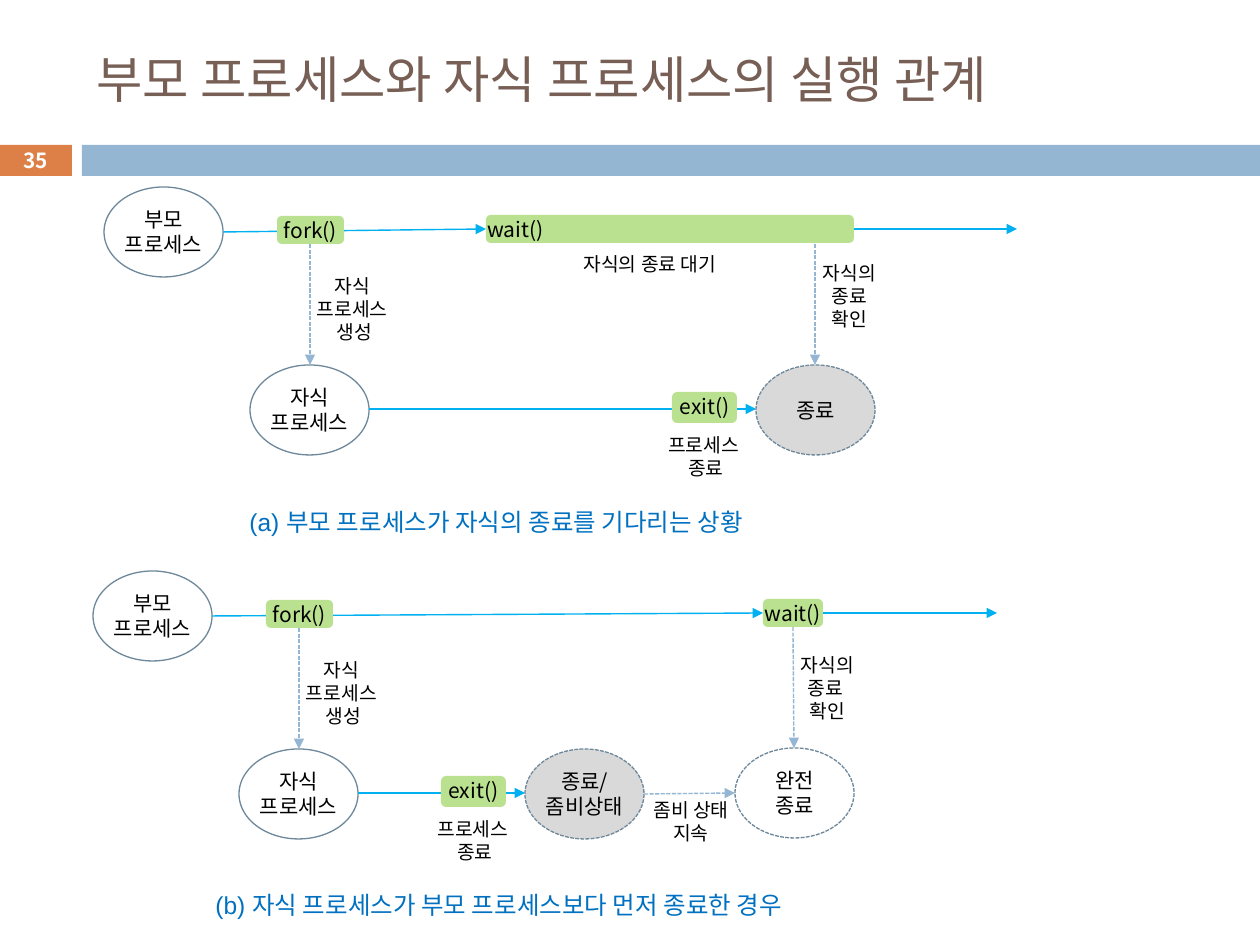
from lxml import etree
from pptx import Presentation
from pptx.dml.color import RGBColor
from pptx.enum.dml import MSO_LINE
from pptx.enum.shapes import MSO_CONNECTOR, MSO_SHAPE
from pptx.enum.text import MSO_ANCHOR, MSO_AUTO_SIZE, PP_ALIGN
from pptx.oxml.ns import qn
from pptx.util import Inches, Pt

SCALE = Inches(1) / 126
TITLE_ONLY = 5
KOREAN_FONT = "Noto Sans CJK KR"
CAPTION_FONT = "Arial"

BLACK = RGBColor(0x00, 0x00, 0x00)
WHITE = RGBColor(0xFF, 0xFF, 0xFF)
BROWN = RGBColor(0x77, 0x5F, 0x55)
ORANGE = RGBColor(0xDD, 0x80, 0x47)
STEEL = RGBColor(0x94, 0xB6, 0xD2)
OUTLINE = RGBColor(0x6D, 0x87, 0x9B)
SKY = RGBColor(0x00, 0xB0, 0xF0)
GREEN = RGBColor(0xBA, 0xE1, 0x8F)
GRAY = RGBColor(0xD9, 0xD9, 0xD9)
CAPTION_BLUE = RGBColor(0x00, 0x70, 0xC0)

LEFT, CENTER, JUSTIFY = PP_ALIGN.LEFT, PP_ALIGN.CENTER, PP_ALIGN.JUSTIFY
TOP, MIDDLE = MSO_ANCHOR.TOP, MSO_ANCHOR.MIDDLE
RECTANGLE, OVAL = MSO_SHAPE.RECTANGLE, MSO_SHAPE.OVAL
ROUNDED = MSO_SHAPE.ROUNDED_RECTANGLE
STRAIGHT = MSO_CONNECTOR.STRAIGHT
DASHED = MSO_LINE.SQUARE_DOT
NO_FIT = MSO_AUTO_SIZE.NONE

NODE_WIDTH, NODE_HEIGHT = 119, 90


def emu(*pixels):
    return [round(value * SCALE) for value in pixels]


def write(shape, lines, size, color=BLACK, align=CENTER, anchor=TOP,
          font=KOREAN_FONT, bold=False, spacing=None, wrap=True):
    frame = shape.text_frame
    frame.auto_size = NO_FIT
    frame.word_wrap = wrap
    frame.vertical_anchor = anchor
    for index, line in enumerate(lines):
        paragraph = frame.add_paragraph() if index else frame.paragraphs[0]
        paragraph.alignment = align
        if spacing:
            paragraph.line_spacing = spacing
        run = paragraph.add_run()
        run.text = line
        run.font.size = Pt(size)
        run.font.name = font
        run.font.bold = bold
        run.font.color.rgb = color
        east_asian = etree.SubElement(run.font._element, qn("a:ea"))
        east_asian.set("typeface", KOREAN_FONT)


def add_box(slide, kind, bounds, fill=None):
    shape = slide.shapes.add_shape(kind, *emu(*bounds))
    shape.shadow.inherit = False
    shape.line.fill.background()
    if fill is None:
        shape.fill.background()
    else:
        shape.fill.solid()
        shape.fill.fore_color.rgb = fill
    frame = shape.text_frame
    frame.margin_left = frame.margin_right = 0
    frame.margin_top = frame.margin_bottom = 0
    return shape


def add_node(slide, left, top, lines, fill=None, dashed=False):
    node = add_box(slide, OVAL, (left, top, NODE_WIDTH, NODE_HEIGHT), fill)
    node.line.color.rgb = OUTLINE
    node.line.width = Pt(0.75)
    if dashed:
        node.line.dash_style = DASHED
    write(node, lines, 12, anchor=MIDDLE)


def add_call(slide, bounds, name, align=CENTER):
    call = add_box(slide, ROUNDED, bounds, GREEN)
    write(call, [name], 12, align=align, wrap=False)


def add_text(slide, bounds, lines, size=11, **style):
    write(slide.shapes.add_textbox(*emu(*bounds)), lines, size, **style)


def add_caption(slide, bounds, text):
    add_text(slide, bounds, [text], 14, color=CAPTION_BLUE, align=JUSTIFY,
             font=CAPTION_FONT, spacing=1.6)


def add_arrow(slide, start, end, dashed=False):
    arrow = slide.shapes.add_connector(STRAIGHT, *emu(*start, *end))
    arrow.line.color.rgb = STEEL if dashed else SKY
    arrow.line.width = Pt(0.79)
    if dashed:
        arrow.line.dash_style = DASHED
    tail = etree.SubElement(arrow.line._get_or_add_ln(), qn("a:tailEnd"))
    tail.set("type", "triangle")
    etree.SubElement(arrow._element.spPr, qn("a:effectLst"))


def add_header(slide):
    add_box(slide, RECTANGLE, (-1, 145, 73, 31), ORANGE)
    add_box(slide, RECTANGLE, (82, 145, 1178, 31), STEEL)
    title = slide.shapes.title
    title.left, title.top, title.width, title.height = emu(84, 32, 1124, 93)
    write(title, ["부모 프로세스와 자식 프로세스의 실행 관계"], 28.8,
          color=BROWN, align=LEFT, anchor=MIDDLE)
    add_text(slide, (-1, 143, 73, 34), ["35"], 11.9, color=WHITE,
             anchor=MIDDLE, bold=True)


def add_fork_stage(slide, left, top, wait_left, exit_left, end_left):
    add_node(slide, left, top, ["부모", "프로세스"])
    add_node(slide, left + 146, top + 178, ["자식", "프로세스"])
    add_arrow(slide, (left + 206, top + 57), (left + 206, top + 178), True)
    add_arrow(slide, (left + 119, top + 45), (wait_left, top + 42))
    add_arrow(slide, (left + 265, top + 222), (end_left, top + 222))
    add_text(slide, (left + 195, top + 81, 111, 83),
             ["자식 ", "프로세스 ", "생성"])
    add_call(slide, (left + 173, top + 29, 67, 28), "fork()")
    add_call(slide, (exit_left, top + 205, 65, 31), "exit()")
    add_text(slide, (exit_left - 22, top + 240, 112, 59),
             ["프로세스 ", "종료"])


def add_waiting_case(slide):
    add_fork_stage(slide, 104, 187, 486, 672, 756)
    add_node(slide, 756, 365, ["종료"], GRAY, True)
    add_arrow(slide, (815, 244), (815, 365), True)
    add_call(slide, (486, 215, 368, 28), "wait()", LEFT)
    add_arrow(slide, (854, 229), (1017, 229))
    add_text(slide, (558, 246, 184, 36), ["자식의 종료 대기"])
    add_text(slide, (806, 255, 87, 83), ["자식의 종료", "확인"])
    add_caption(slide, (237, 483, 736, 54),
                "(a) 부모 프로세스가 자식의 종료를 기다리는 상황")


def add_zombie_case(slide):
    add_fork_stage(slide, 93, 571, 763, 441, 525)
    add_node(slide, 525, 749, ["종료/ 좀비상태"], GRAY, True)
    add_arrow(slide, (823, 613), (997, 613))
    add_call(slide, (763, 599, 60, 28), "wait()")
    add_arrow(slide, (644, 794), (735, 793), True)
    add_node(slide, 735, 748, ["완전", "종료"], dashed=True)
    add_arrow(slide, (793, 627), (794, 748), True)
    add_text(slide, (635, 792, 112, 59), ["좀비 상태 지속"])
    add_text(slide, (784, 647, 87, 83), ["자식의", "종료 ", "확인"])
    add_caption(slide, (203, 866, 803, 54),
                "(b) 자식 프로세스가 부모 프로세스보다 먼저 종료한 경우")


def main():
    presentation = Presentation()
    presentation.slide_width = Inches(10)
    presentation.slide_height = Inches(7.5)
    layout = presentation.slide_layouts[TITLE_ONLY]
    slide = presentation.slides.add_slide(layout)
    add_header(slide)
    add_waiting_case(slide)
    add_zombie_case(slide)
    presentation.save("out.pptx")


main()
